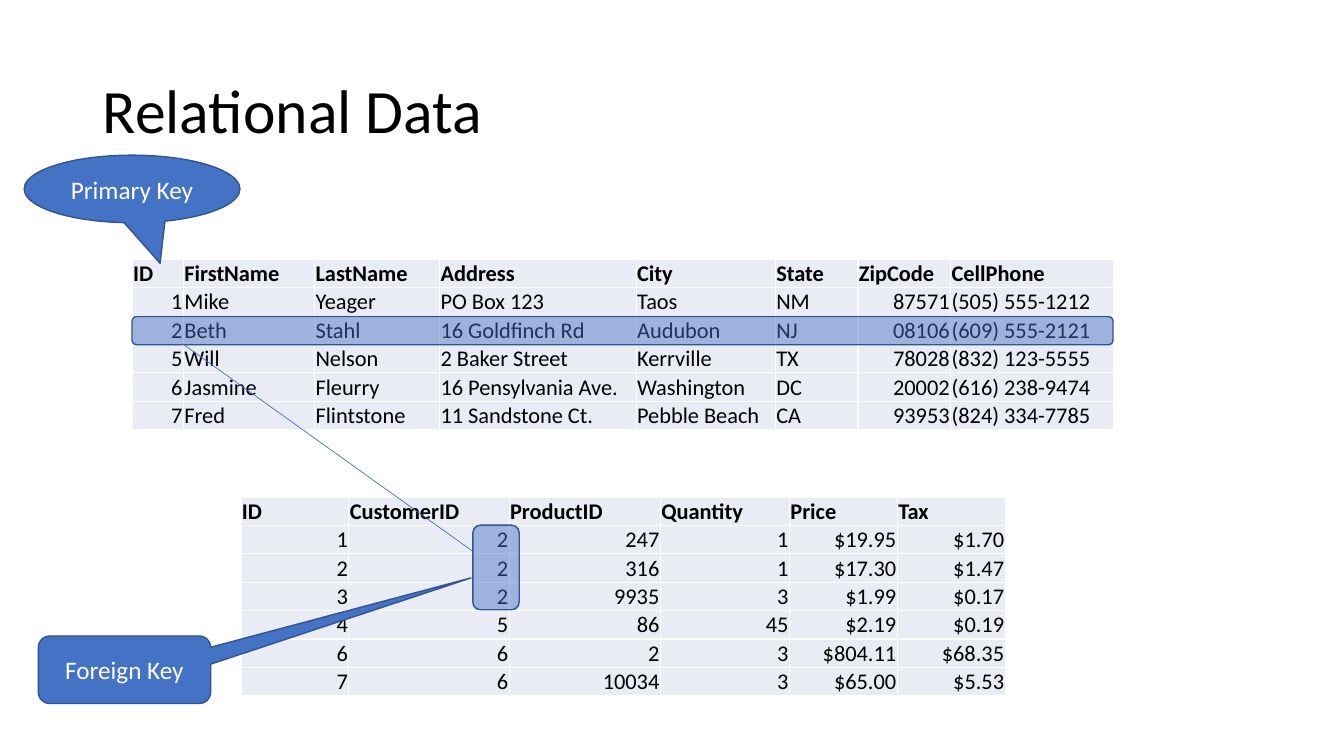
"""Build the slide on primary and foreign keys in relational data."""
from dataclasses import dataclass

from lxml import etree
from pptx import Presentation
from pptx.dml.color import RGBColor
from pptx.enum.shapes import MSO_CONNECTOR, MSO_SHAPE
from pptx.enum.text import MSO_ANCHOR, PP_ALIGN
from pptx.oxml.ns import qn
from pptx.slide import Slide
from pptx.text.text import _Paragraph
from pptx.util import Inches, Pt

LEFT, CENTER, RIGHT = PP_ALIGN.LEFT, PP_ALIGN.CENTER, PP_ALIGN.RIGHT
MIDDLE, BOTTOM = MSO_ANCHOR.MIDDLE, MSO_ANCHOR.BOTTOM
ROUNDED = MSO_SHAPE.ROUNDED_RECTANGLE
ROUNDED_CALLOUT = MSO_SHAPE.ROUNDED_RECTANGULAR_CALLOUT
OVAL_CALLOUT = MSO_SHAPE.OVAL_CALLOUT
STRAIGHT = MSO_CONNECTOR.STRAIGHT

COLORS = {"text": "000000", "white": "FFFFFF", "cell": "E9EBF5",
          "blue": "4472C4", "outline": "325491"}
FONT = "Calibri"
ROW_HEIGHT = 0.28
TITLE_ONLY = 5


@dataclass
class DataTable:
    left: float
    top: float
    widths: list[float]
    right_columns: set[int]
    rows: list[list[str]]


@dataclass
class Box:
    kind: MSO_SHAPE
    left: float
    top: float
    width: float
    height: float
    text: str = ""
    adjustments: tuple[float, ...] = ()
    opacity: int = 100


ORDERS = DataTable(2.39, 4.93, [1.07, 1.59, 1.5, 1.28, 1.07, 1.07], set(range(6)), [
    ["ID", "CustomerID", "ProductID", "Quantity", "Price", "Tax"],
    ["1", "2", "247", "1", "$19.95", "$1.70"],
    ["2", "2", "316", "1", "$17.30", "$1.47"],
    ["3", "2", "9935", "3", "$1.99", "$0.17"],
    ["4", "5", "86", "45", "$2.19", "$0.19"],
    ["6", "6", "2", "3", "$804.11", "$68.35"],
    ["7", "6", "10034", "3", "$65.00", "$5.53"],
])
CUSTOMERS = DataTable(1.31, 2.57, [0.51, 1.3, 1.24, 1.95, 1.38, 0.82, 0.92, 1.62], {0, 6}, [
    ["ID", "FirstName", "LastName", "Address", "City", "State", "ZipCode", "CellPhone"],
    ["1", "Mike", "Yeager", "PO Box 123", "Taos", "NM", "87571", "(505) 555-1212"],
    ["2", "Beth", "Stahl", "16 Goldfinch Rd", "Audubon", "NJ", "08106", "(609) 555-2121"],
    ["5", "Will", "Nelson", "2 Baker Street", "Kerrville", "TX", "78028", "(832) 123-5555"],
    ["6", "Jasmine", "Fleurry", "16 Pensylvania Ave.", "Washington", "DC", "20002",
     "(616) 238-9474"],
    ["7", "Fred", "Flintstone", "11 Sandstone Ct.", "Pebble Beach", "CA", "93953",
     "(824) 334-7785"],
])
HIGHLIGHTS = [
    Box(ROUNDED, 1.31, 3.14, 9.73, 0.28, opacity=46),
    Box(ROUNDED, 4.69, 5.21, 0.46, 0.84, opacity=46),
]
CALLOUTS = [
    Box(ROUNDED_CALLOUT, 0.38, 6.31, 1.71, 0.67, "Foreign Key", (2.01, -1.36, 0.17)),
    Box(OVAL_CALLOUT, 0.24, 1.54, 2.14, 0.67, "Primary Key", (0.13, 1.1)),
]


def color(name: str) -> RGBColor:
    return RGBColor.from_string(COLORS[name])


def write(para: _Paragraph, text: str, size: int, tint: str, align: PP_ALIGN,
          bold: bool = False) -> None:
    para.alignment = align
    span = para.add_run()
    span.text = text
    span.font.name = FONT
    span.font.size = Pt(size)
    span.font.bold = bold
    span.font.color.rgb = color(tint)


def add_title(page: Slide, text: str) -> None:
    title = page.shapes.title
    title.left, title.top = Inches(0.92), Inches(0.4)
    title.width, title.height = Inches(11.5), Inches(1.45)
    title.text_frame.vertical_anchor = MIDDLE
    para = title.text_frame.paragraphs[0]
    para.line_spacing = 0.9
    write(para, text, 44, "text", LEFT)


def add_data_table(page: Slide, data: DataTable) -> None:
    frame = page.shapes.add_table(
        len(data.rows), len(data.widths), Inches(data.left), Inches(data.top),
        Inches(sum(data.widths)), Inches(ROW_HEIGHT * len(data.rows)))
    table = frame.table
    table.first_row = table.horz_banding = False
    for column, width in zip(table.columns, data.widths):
        column.width = Inches(width)
    for row_index, row in enumerate(data.rows):
        header = row_index == 0
        for column_index, text in enumerate(row):
            cell = table.cell(row_index, column_index)
            cell.margin_left = cell.margin_right = cell.margin_top = Inches(0.01)
            cell.margin_bottom = 0
            cell.vertical_anchor = BOTTOM
            properties = cell._tc.get_or_add_tcPr()
            for side in ("a:lnL", "a:lnR", "a:lnT", "a:lnB"):
                border = etree.SubElement(properties, qn(side), w=str(Pt(1)))
                solid = etree.SubElement(border, qn("a:solidFill"))
                etree.SubElement(solid, qn("a:srgbClr"), val=COLORS["white"])
            cell.fill.solid()
            cell.fill.fore_color.rgb = color("cell")
            align = RIGHT if column_index in data.right_columns and not header else LEFT
            write(cell.text_frame.paragraphs[0], text, 16, "text", align, header)


def add_box(page: Slide, box: Box) -> None:
    shape = page.shapes.add_shape(box.kind, Inches(box.left), Inches(box.top),
                                  Inches(box.width), Inches(box.height))
    shape.shadow.inherit = False
    for index, value in enumerate(box.adjustments):
        shape.adjustments[index] = value
    shape.fill.solid()
    shape.fill.fore_color.rgb = color("blue")
    if box.opacity < 100:
        tint = shape._element.spPr.find(qn("a:solidFill"))[0]
        etree.SubElement(tint, qn("a:alpha"), val=str(box.opacity * 1000))
    shape.line.color.rgb = color("outline")
    shape.line.width = Pt(1)
    if box.text:
        shape.text_frame.vertical_anchor = MIDDLE
        write(shape.text_frame.paragraphs[0], box.text, 18, "white", CENTER)


def add_key_link(page: Slide) -> None:
    link = page.shapes.add_connector(STRAIGHT, Inches(1.81), Inches(3.41),
                                     Inches(4.69), Inches(5.47))
    link.line.color.rgb = color("blue")
    link.line.width = Pt(0.5)
    etree.SubElement(link._element.spPr, qn("a:effectLst"))


def main() -> None:
    deck = Presentation()
    deck.slide_width, deck.slide_height = Inches(13.33), Inches(7.5)
    page = deck.slides.add_slide(deck.slide_layouts[TITLE_ONLY])
    add_title(page, "Relational Data")
    for data in (ORDERS, CUSTOMERS):
        add_data_table(page, data)
    for box in HIGHLIGHTS:
        add_box(page, box)
    add_key_link(page)
    for box in CALLOUTS:
        add_box(page, box)
    deck.save("out.pptx")


if __name__ == "__main__":
    main()
